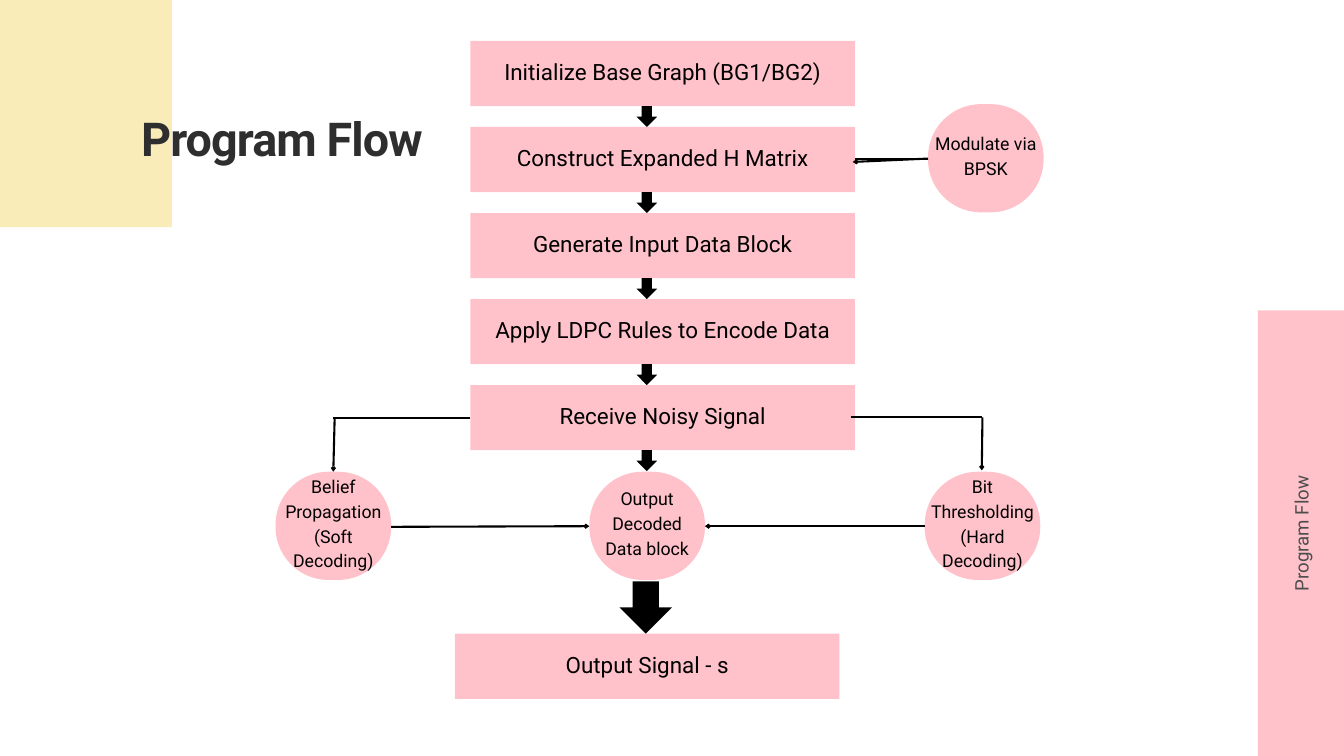
import pptx
import pptx.util
import pptx.dml.color
import pptx.enum.shapes
import pptx.enum.text
import pptx.oxml.ns
from lxml import etree

Inches = pptx.util.Inches
Pt = pptx.util.Pt
SHAPE = pptx.enum.shapes.MSO_SHAPE
ANCHOR = pptx.enum.text.MSO_ANCHOR
ALIGN = pptx.enum.text.PP_ALIGN

PINK, CREAM, BLACK, CHARCOAL, GREY = "FFC2CA", "F9ECB8", "000000", "2E2E2E", "4D4D4D"
TITLE = "Program Flow"
STEPS = [
    "Initialize Base Graph (BG1/BG2)",
    "Construct Expanded H Matrix",
    "Generate Input Data Block",
    "Apply LDPC Rules to Encode Data",
    "Receive Noisy Signal",
]
OUTPUT_SIGNAL = ("Output Signal - s", 6.77, 9.43)
STAGES = [
    ("Belief Propagation (Soft Decoding)", 4.1, 7.02),
    ("Output Decoded\nData block", 8.77, 7.02),
    ("Modulate via BPSK", 13.81, 1.55),
    ("Bit Thresholding (Hard Decoding)", 13.76, 7.02),
]
LINKS = [
    ((4.96, 6.22), (7, 6.22), False),
    ((4.98, 6.22), (4.96, 7.02), True),
    ((12.66, 6.21), (14.62, 6.21), False),
    ((14.62, 6.21), (14.61, 7), True),
    ((12.72, 2.36), (13.81, 2.36), False),
    ((5.82, 7.84), (8.77, 7.83), True),
    ((13.76, 7.83), (10.49, 7.83), True),
    ((13.81, 2.36), (12.69, 2.41), True),
]
STEP_LEFT, STEP_TOP, STEP_PITCH = 7, 0.61, 1.28
STEP_SIZE, STAGE_SIZE = (5.72, 0.97), (1.72, 1.61)
ARROW_LEFT, ARROW_SIZE = 9.47, 0.31
TEXT_RISE = 0.12


def rgb(value):
    """Return a colour from its hex string."""
    return pptx.dml.color.RGBColor.from_string(value)


def write(shape, text, size, leading, color=BLACK, bold=False, align=ALIGN.CENTER,
          anchor=ANCHOR.MIDDLE, inset=0.06, spacing=None):
    """Fill a shape's text frame with formatted paragraphs."""
    frame = shape.text_frame
    frame.auto_size = pptx.enum.text.MSO_AUTO_SIZE.NONE
    frame.word_wrap = True
    frame.vertical_anchor = anchor
    frame.margin_left = frame.margin_right = Inches(inset)
    frame.margin_top = frame.margin_bottom = Inches(inset)
    frame.text = text
    for paragraph in frame.paragraphs:
        paragraph.alignment = align
        paragraph.line_spacing = Pt(leading)
        paragraph.space_before = Pt(0)
        for run in paragraph.runs:
            run.font.name = "Roboto"
            run.font.size = Pt(size)
            run.font.bold = bold
            run.font.color.rgb = rgb(color)
            if spacing is not None:
                run.font._element.set("spc", str(spacing))


def block(shapes, kind, left, top, width, height, color):
    """Draw a plain filled shape."""
    shape = shapes.add_shape(kind, Inches(left), Inches(top), Inches(width), Inches(height))
    shape.shadow.inherit = False
    shape.fill.solid()
    shape.fill.fore_color.rgb = rgb(color)
    shape.line.fill.background()
    return shape


def node(shapes, kind, text, left, top, size, font_size, leading):
    """Draw a flow node with its label set slightly above centre."""
    width, height = size
    shape = block(shapes, kind, left, top, width, height, PINK)
    label = shapes.add_textbox(Inches(left), Inches(top - TEXT_RISE),
                               Inches(width), Inches(height + TEXT_RISE))
    write(label, text, font_size, leading)
    return shape


def link(shapes, start, end, arrow):
    """Draw a straight link, with an arrowhead if asked."""
    line = shapes.add_connector(pptx.enum.shapes.MSO_CONNECTOR.STRAIGHT,
                                *(Inches(value) for value in start + end))
    line.line.color.rgb = rgb(BLACK)
    line.line.width = Pt(2.25)
    qn = pptx.oxml.ns.qn
    if arrow:
        etree.SubElement(line.line._get_or_add_ln(), qn("a:tailEnd"),
                         type="arrow", w="sm", len="sm")
    etree.SubElement(line.element.spPr, qn("a:effectLst"))


def main():
    """Build the program flow slide."""
    deck = pptx.Presentation()
    deck.slide_width, deck.slide_height = Inches(20), Inches(11.25)
    slide = deck.slides.add_slide(deck.slide_layouts[5])
    shapes = slide.shapes

    title = shapes.title
    title.left, title.top, title.width, title.height = map(Inches, (2.1, 1.5, 8.43, 0.94))
    write(title, TITLE, 50, 70, color=CHARCOAL, bold=True, align=ALIGN.LEFT,
          anchor=ANCHOR.TOP, inset=0, spacing=-100)
    corner = block(shapes, SHAPE.RECTANGLE, 0, 0, 2.56, 3.38, CREAM)
    title.element.addprevious(corner.element)

    block(shapes, SHAPE.RECTANGLE, 18.72, 4.62, 1.28, 6.63, PINK)
    side_label = shapes.add_textbox(*map(Inches, (16.58, 7.75, 5.5, 0.38)))
    side_label.rotation = 270
    write(side_label, TITLE, 20, 28, color=GREY, anchor=ANCHOR.TOP, inset=0)

    for index, step in enumerate(STEPS):
        top = STEP_TOP + index * STEP_PITCH
        node(shapes, SHAPE.RECTANGLE, step, STEP_LEFT, top, STEP_SIZE, 24, 33.6)
        block(shapes, SHAPE.DOWN_ARROW, ARROW_LEFT, top + STEP_SIZE[1],
              ARROW_SIZE, ARROW_SIZE, BLACK)
    node(shapes, SHAPE.RECTANGLE, *OUTPUT_SIGNAL, STEP_SIZE, 24, 33.6)
    block(shapes, SHAPE.DOWN_ARROW, 9.22, 8.65, 0.78, 0.78, BLACK)

    for stage in STAGES:
        circle = node(shapes, SHAPE.ROUNDED_RECTANGLE, *stage, STAGE_SIZE, 19, 26.6)
        circle.adjustments[0] = 0.49
    for start, end, arrow in LINKS:
        link(shapes, start, end, arrow)

    deck.save("out.pptx")


if __name__ == "__main__":
    main()
